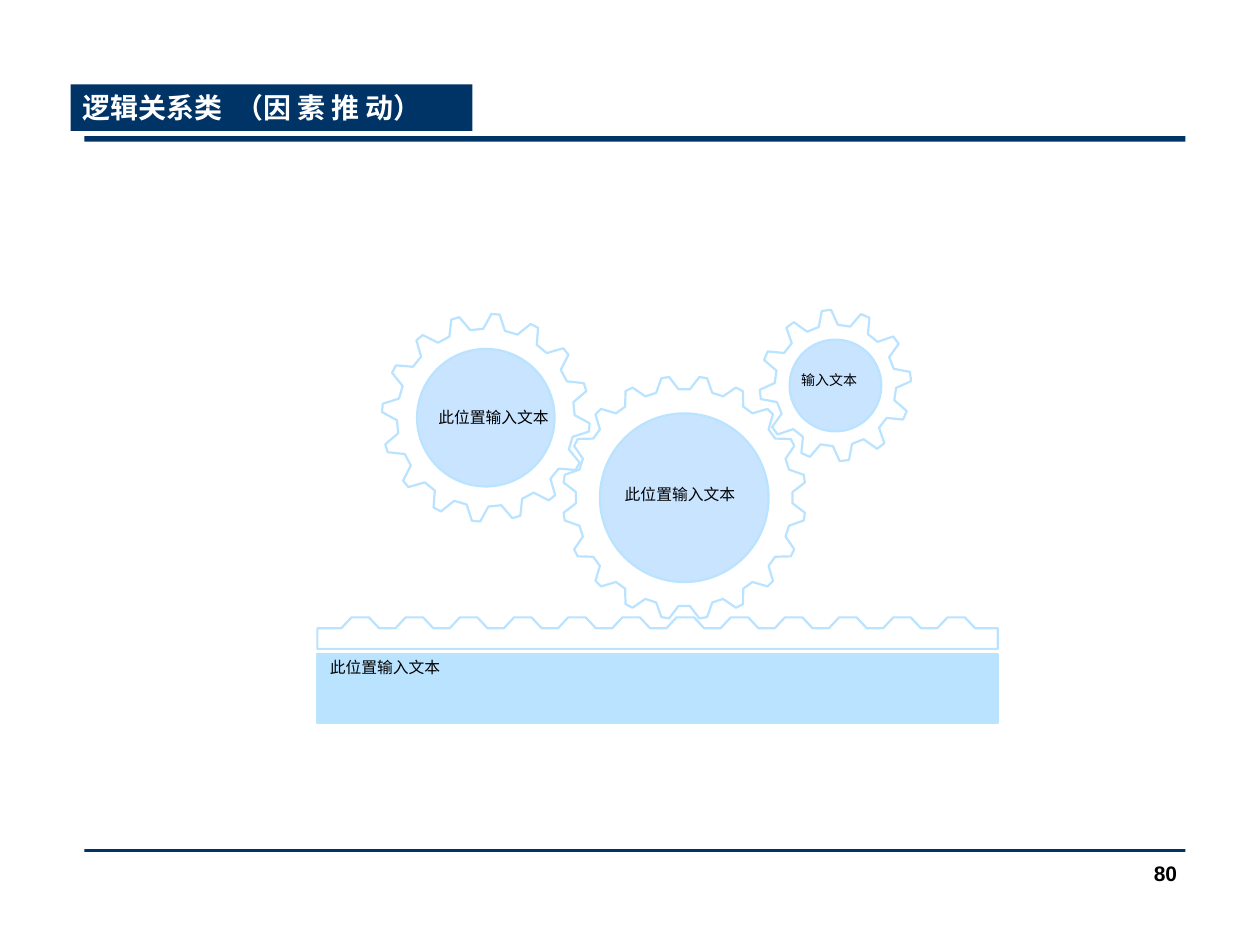
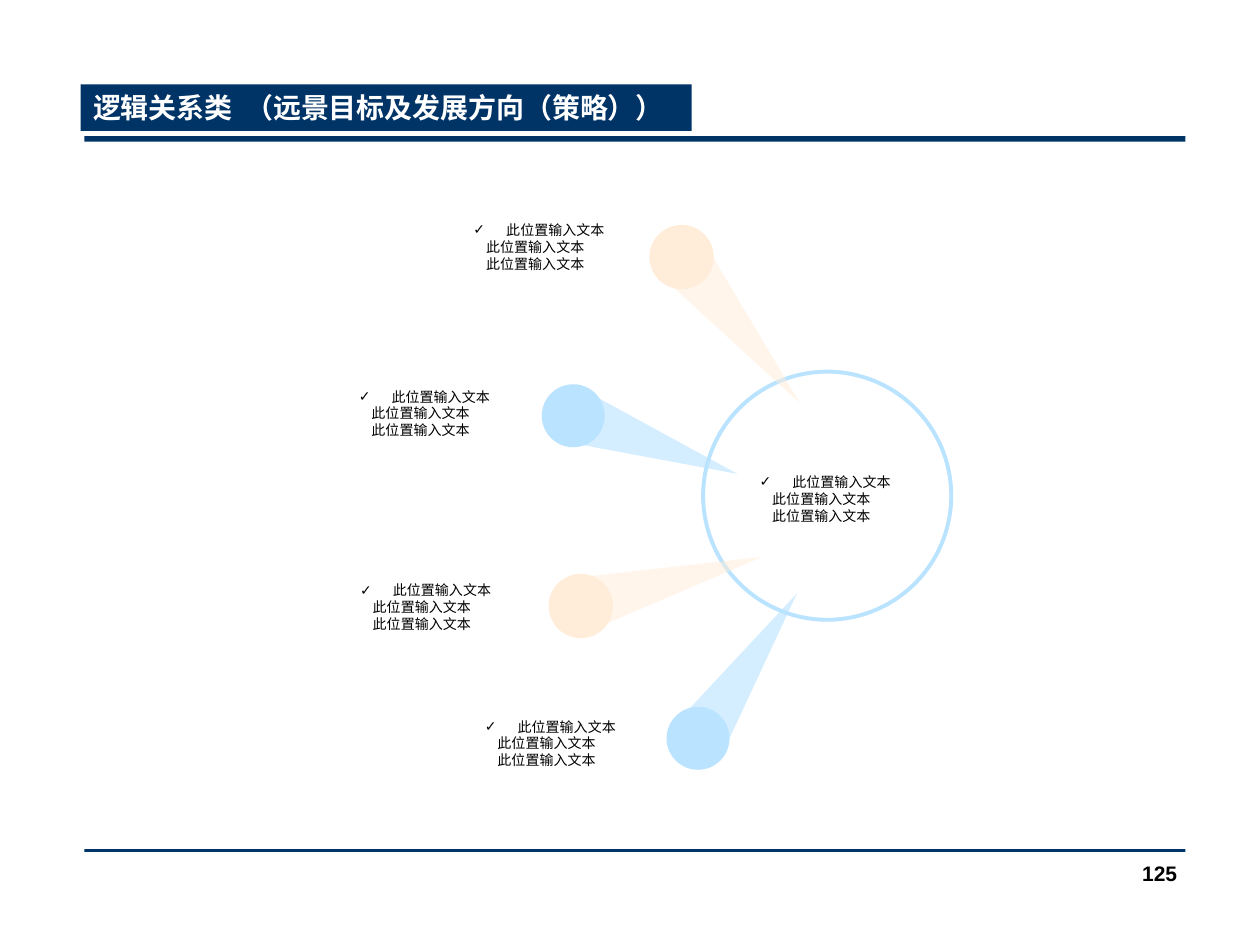
"""Build two diagram slides: meshing gears, and beams pointing at a goal."""
from math import cos, radians, sin
from typing import NamedTuple

from lxml.etree import SubElement
from pptx import Presentation
from pptx.dml.color import RGBColor
from pptx.enum.shapes import MSO_SHAPE as SHAPE
from pptx.enum.text import MSO_ANCHOR as ANCHOR, PP_ALIGN as ALIGN
from pptx.oxml.ns import qn
from pptx.util import Pt

FONT = "Arial"
NAVY, BLACK, WHITE = "003366", "000000", "FFFFFF"
SKY, PALE, PEACH = "B9E3FF", "C9E4FF", "FFECD9"
PROMPT = "此位置输入文本"
OUTLINE = 1.25


class Box(NamedTuple):
    """Left, top, width and height in points."""
    x: float
    y: float
    w: float
    h: float


class Gear(NamedTuple):
    """Gear geometry in points and degrees, clockwise from the top."""
    cx: float
    cy: float
    tip: float
    root: float
    hub: float
    teeth: int
    phase: float
    tip_half: float
    root_half: float


class Beam(NamedTuple):
    """A dot with a triangular beam and the list beside it."""
    color: str
    dot: tuple[float, float]
    wedge: Box
    turn: float
    apex: float
    opacity: int
    note: tuple[float, float]


GEARS = [
    Gear(391, 284.4, 69.5, 62, 48.2, 20, 9, 1.85, 3),
    Gear(277.6, 238.7, 59.4, 50.8, 39.3, 16, 5.4, 2.3, 4.2),
    Gear(477.4, 220.3, 43.3, 34.7, 26.2, 12, 23.2, 3.5, 5.9),
]
GEAR_LABELS = [
    (Box(349.9, 273.6, 99.4, 18), PROMPT, 9),
    (Box(243.4, 229.7, 99.4, 18), PROMPT, 9),
    (Box(450.7, 208.8, 110, 17.3), "输入文本", 8),
    (Box(181.4, 372.2, 387.4, 41), PROMPT, 9),
]
BEAMS = [
    Beam(PEACH, (371.5, 128.9), Box(416.2, 137.5, 29.5, 97.9), 132.5, 1, 50, (263.5, 123.1)),
    Beam(SKY, (309.6, 219.6), Box(362.9, 208.8, 29.5, 92.9), 109.6, 0.5, 60, (198, 218.2)),
    Beam(PEACH, (313.9, 328.3), Box(373.7, 289.4, 29.5, 97.9), 83.6, 0, 50, (198.7, 329)),
    Beam(SKY, (380.9, 403.9), Box(414.7, 331.2, 29.5, 92.9), 34, 0.5, 60, (270, 406.8)),
]


def rgb(color: str) -> RGBColor:
    """Turn a hex string into a colour."""
    return RGBColor.from_string(color)


def paint(sp, fill: str | None, line: str | None = None, width: float = OUTLINE) -> None:
    """Set fill and line and remove the shadow."""
    sp.shadow.inherit = False
    if fill:
        sp.fill.solid()
        sp.fill.fore_color.rgb = rgb(fill)
    else:
        sp.fill.background()
    if line:
        sp.line.color.rgb = rgb(line)
        sp.line.width = Pt(width)
    else:
        sp.line.fill.background()


def add_preset(s, kind: SHAPE, box: Box, fill: str, line: str | None = None,
               width: float = OUTLINE):
    """Add a painted preset shape."""
    sp = s.shapes.add_shape(kind, *map(Pt, box))
    paint(sp, fill, line, width)
    return sp


def add_outline(s, points: list[tuple[float, float]]) -> None:
    """Add an unfilled closed polygon."""
    first, *rest = [(Pt(x), Pt(y)) for x, y in points]
    builder = s.shapes.build_freeform(*first, scale=1.0)
    builder.add_line_segments(rest, close=True)
    paint(builder.convert_to_shape(), None, SKY)


def style(p, size: float, color: str = BLACK, bold: bool = False) -> None:
    """Format every run of a paragraph."""
    for r in p.runs:
        r.font.name, r.font.size, r.font.bold = FONT, Pt(size), bold
        r.font.color.rgb = rgb(color)


def add_text(s, box: Box, text: str, size: float, bold: bool = False,
             align: ALIGN = ALIGN.LEFT):
    """Add a wrapped text box and return its text frame."""
    tf = s.shapes.add_textbox(*map(Pt, box)).text_frame
    tf.word_wrap = True
    tf.text = text
    for p in tf.paragraphs:
        p.alignment = align
        style(p, size, BLACK, bold)
    return tf


def add_title(s, box: Box, text: str) -> None:
    """Add the navy title band; a tab stop sets the gap in the text."""
    tf = add_preset(s, SHAPE.RECTANGLE, box, NAVY).text_frame
    tf.vertical_anchor = ANCHOR.TOP
    tf.text = text
    p = tf.paragraphs[0]
    p.alignment = ALIGN.LEFT
    tabs = SubElement(p._p.get_or_add_pPr(), qn("a:tabLst"))
    SubElement(tabs, qn("a:tab"), pos=str(Pt(87)), algn="l")
    style(p, 16, WHITE, True)


def add_slide(prs, title_box: Box, title: str, number: str):
    """Add a slide with its rules, title band and page number."""
    s = prs.slides.add_slide(prs.slide_layouts[6])
    for y, h in ((77.8, 3.2), (485.3, 1.6)):
        add_preset(s, SHAPE.RECTANGLE, Box(48.2, y, 629.3, h), NAVY)
    add_title(s, title_box, title)
    add_text(s, Box(529.9, 488.2, 149.8, 36), number, 12, True, ALIGN.RIGHT)
    return s


def circle(cx: float, cy: float, radius: float) -> Box:
    """Return the box around a circle."""
    return Box(cx - radius, cy - radius, 2 * radius, 2 * radius)


def add_gear(s, g: Gear) -> None:
    """Draw a toothed ring with a filled hub."""
    pitch = 360 / g.teeth
    corners = [(g.tip, -g.tip_half), (g.tip, g.tip_half),
               (g.root, pitch / 2 - g.root_half), (g.root, pitch / 2 + g.root_half)]
    polar = [(radius, radians(g.phase + i * pitch + offset))
             for i in range(g.teeth) for radius, offset in corners]
    add_outline(s, [(g.cx + radius * sin(a), g.cy - radius * cos(a)) for radius, a in polar])
    add_preset(s, SHAPE.OVAL, circle(g.cx, g.cy, g.hub), PALE, SKY)


def add_rack(s, box: Box, teeth: int) -> None:
    """Draw the toothed rack under the gears."""
    base, right, bottom = box.y + 6.2, box.x + box.w, box.y + box.h
    profile = [(0, base), (5.8, box.y), (15.8, box.y), (21.6, base)]
    points = [(box.x + 13.7 + 30.96 * i + dx, y) for i in range(teeth) for dx, y in profile]
    add_outline(s, [(box.x, base), *points, (right, base), (right, bottom), (box.x, bottom)])


def add_note(s, x: float, y: float) -> None:
    """Add a ticked line with two indented lines below it."""
    tf = add_text(s, Box(x, y, 95.8, 36), "\n".join([PROMPT] * 3), 8)
    for i, p in enumerate(tf.paragraphs):
        ppr = p._p.get_or_add_pPr()
        ppr.set("marL", str(Pt(7.2 if i else 18.7)))
        if i == 0:
            ppr.set("indent", str(-Pt(18.7)))
            SubElement(ppr, qn("a:buFont"), typeface=FONT)
            SubElement(ppr, qn("a:buChar"), char="✓")


def add_beam(s, b: Beam) -> None:
    """Draw a translucent beam, its dot and its note."""
    sp = add_preset(s, SHAPE.ISOSCELES_TRIANGLE, b.wedge, b.color)
    sp.adjustments[0] = b.apex
    sp.rotation = b.turn
    color = sp._element.spPr.find(qn("a:solidFill")).find(qn("a:srgbClr"))
    SubElement(color, qn("a:alpha"), val=str(b.opacity * 1000))
    add_preset(s, SHAPE.OVAL, Box(*b.dot, 36, 36), b.color, b.color if b.color == PEACH else None, 0.75)
    add_note(s, *b.note)


def build_gears(prs) -> None:
    """Build the slide of driving factors."""
    s = add_slide(prs, Box(40.3, 48.2, 229.7, 26.6), "逻辑关系类\t（因 素 推 动）", "80")
    for g in GEARS:
        add_gear(s, g)
    add_rack(s, Box(181.4, 352.8, 388.8, 18), 12)
    add_preset(s, SHAPE.RECTANGLE, Box(181.4, 373.7, 388.8, 39.6), SKY, SKY)
    for box, text, size in GEAR_LABELS:
        add_text(s, box, text, size)


def build_goal(prs) -> None:
    """Build the slide of vision and directions."""
    s = add_slide(prs, Box(46.1, 48.2, 349.2, 26.6),
                  "逻辑关系类\t（远景目标及发展方向（策略））", "125")
    add_preset(s, SHAPE.OVAL, circle(472.7, 283.3, 70.9), WHITE, SKY, 2.25)
    add_note(s, 427, 267.1)
    for b in BEAMS:
        add_beam(s, b)


def main() -> None:
    """Build and save the presentation."""
    prs = Presentation()
    prs.slide_width, prs.slide_height = Pt(720), Pt(540)
    build_gears(prs)
    build_goal(prs)
    prs.save("out.pptx")


if __name__ == "__main__":
    main()
